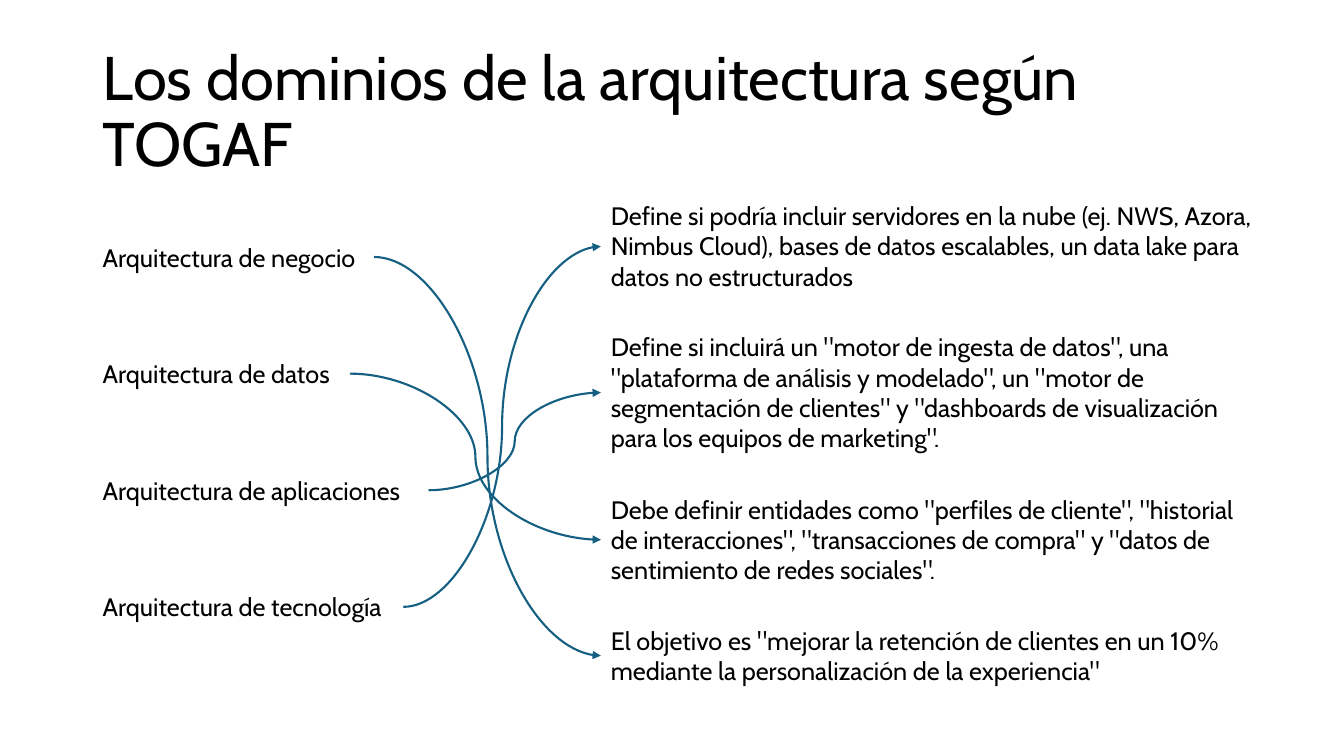
from dataclasses import dataclass

import pptx
import pptx.dml.color
import pptx.enum.shapes
import pptx.enum.text
import pptx.oxml
import pptx.oxml.ns
import pptx.util
from pptx.util import Inches


@dataclass(frozen=True)
class Theme:
    font: str = "Cabin"
    text: str = "000000"
    arrow: str = "156082"
    title_pt: float = 44
    body_pt: float = 18
    arrow_pt: float = 1.5


@dataclass(frozen=True)
class Domain:
    name: str
    width: float
    definition: int


@dataclass(frozen=True)
class Definition:
    text: str
    top: float
    height: float


THEME = Theme()
LEFT = 0.92
DOMAIN_TOP, DOMAIN_STEP, DOMAIN_HEIGHT = 2.35, 1.157, 0.4
DEFINITION_LEFT, DEFINITION_WIDTH = 5.96, 6.69
RIGHT_SIDE, LEFT_SIDE = 3, 1

TITLE = "Los dominios de la arquitectura según TOGAF"
DOMAINS = [
    Domain("Arquitectura de negocio", 2.79, 3),
    Domain("Arquitectura de datos", 2.55, 2),
    Domain("Arquitectura de aplicaciones", 3.33, 1),
    Domain("Arquitectura de tecnología", 3.08, 0),
]
DEFINITIONS = [
    Definition(
        "Define si podría incluir servidores en la nube (ej. NWS, Azora, "
        "Nimbus Cloud), bases de datos escalables, un data lake para "
        "datos no estructurados", 1.94, 1.01),
    Definition(
        'Define si incluirá un "motor de ingesta de datos", una '
        '"plataforma de análisis y modelado", un "motor de '
        'segmentación de clientes" y "dashboards de visualización '
        'para los equipos de marketing".', 3.24, 1.31),
    Definition(
        'Debe definir entidades como "perfiles de cliente", "historial '
        'de interacciones", "transacciones de compra" y "datos de '
        'sentimiento de redes sociales".', 4.85, 1.01),
    Definition(
        'El objetivo es "mejorar la retención de clientes en un 10% '
        'mediante la personalización de la experiencia"', 6.15, 0.71),
]


def write(tf, text: str, size: float):
    tf.text = text
    p = tf.paragraphs[0]
    p.alignment = pptx.enum.text.PP_ALIGN.LEFT
    p.font.name = THEME.font
    p.font.size = pptx.util.Pt(size)
    p.font.color.rgb = pptx.dml.color.RGBColor.from_string(THEME.text)
    return p


def add_title(s) -> None:
    title = s.shapes.title
    title.left, title.top = Inches(LEFT), Inches(0.4)
    title.width, title.height = Inches(11.5), Inches(1.45)
    tf = title.text_frame
    tf.auto_size = pptx.enum.text.MSO_AUTO_SIZE.NONE
    tf.vertical_anchor = pptx.enum.text.MSO_ANCHOR.MIDDLE
    write(tf, TITLE, THEME.title_pt).line_spacing = 0.9


def add_text(s, text: str, left: float, top: float, width: float,
             height: float, wrap: bool):
    sp = s.shapes.add_textbox(
        Inches(left), Inches(top), Inches(width), Inches(height))
    tf = sp.text_frame
    tf.word_wrap = wrap
    tf.auto_size = pptx.enum.text.MSO_AUTO_SIZE.SHAPE_TO_FIT_TEXT
    write(tf, text, THEME.body_pt)
    return sp


def add_arrow(s, source, target) -> None:
    cxn = s.shapes.add_connector(
        pptx.enum.shapes.MSO_CONNECTOR.CURVE,
        source.left + source.width, source.top + source.height // 2,
        target.left, target.top + target.height // 2)
    cxn.begin_connect(source, RIGHT_SIDE)
    cxn.end_connect(target, LEFT_SIDE)
    cxn.line.color.rgb = pptx.dml.color.RGBColor.from_string(THEME.arrow)
    cxn.line.width = pptx.util.Pt(THEME.arrow_pt)
    ns = pptx.oxml.ns.nsdecls("a")
    cxn.line._get_or_add_ln().append(
        pptx.oxml.parse_xml(f'<a:tailEnd {ns} type="triangle"/>'))
    cxn._element.spPr.append(pptx.oxml.parse_xml(f"<a:effectLst {ns}/>"))


def main() -> None:
    prs = pptx.Presentation()
    prs.slide_width, prs.slide_height = Inches(13.33), Inches(7.5)
    s = prs.slides.add_slide(prs.slide_layouts[5])
    add_title(s)
    names = [
        add_text(s, d.name, LEFT, DOMAIN_TOP + i * DOMAIN_STEP,
                 d.width, DOMAIN_HEIGHT, False)
        for i, d in enumerate(DOMAINS)
    ]
    definitions = [
        add_text(s, d.text, DEFINITION_LEFT, d.top,
                 DEFINITION_WIDTH, d.height, True)
        for d in DEFINITIONS
    ]
    for domain, name in zip(DOMAINS, names):
        add_arrow(s, name, definitions[domain.definition])
    prs.save("out.pptx")


if __name__ == "__main__":
    main()
